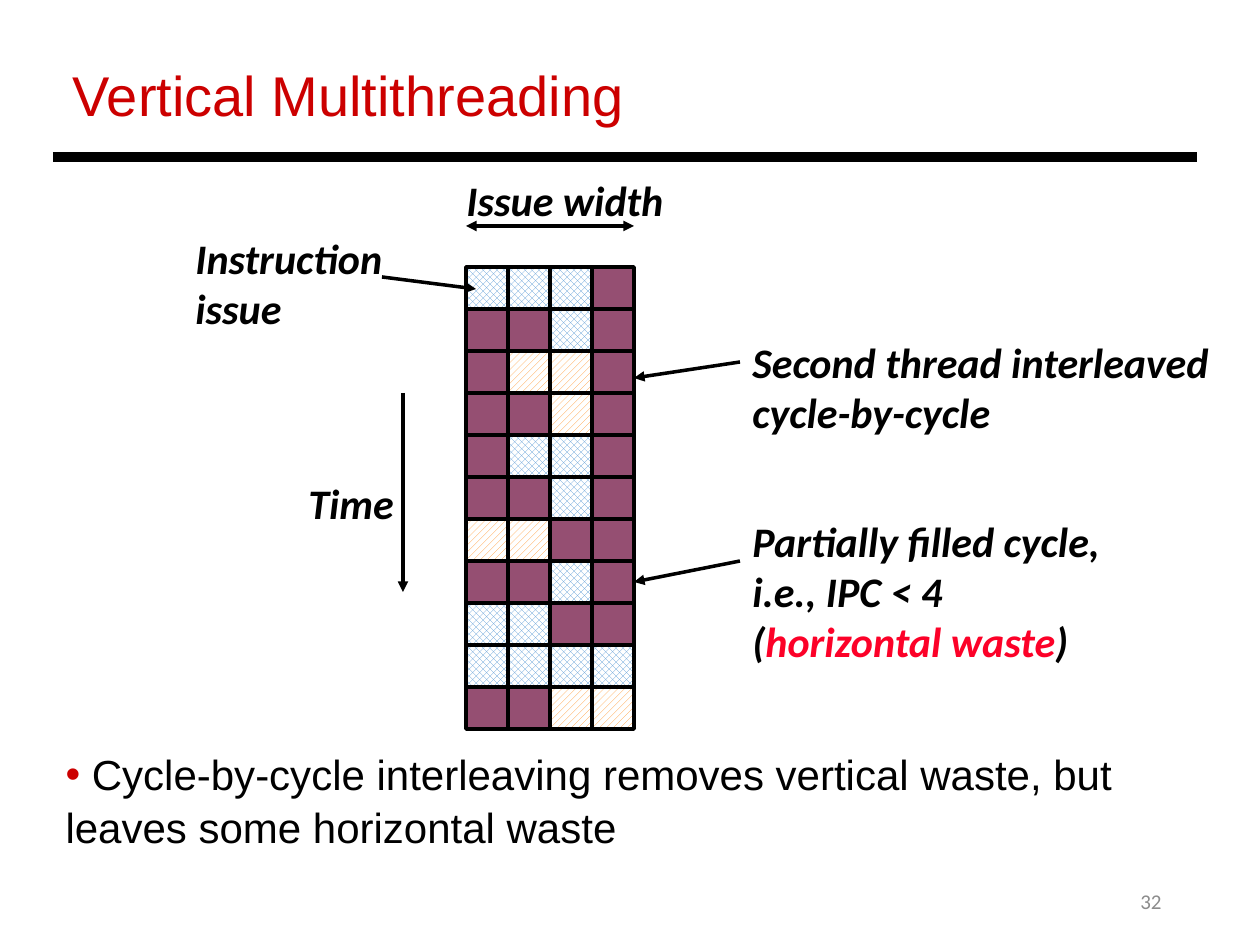
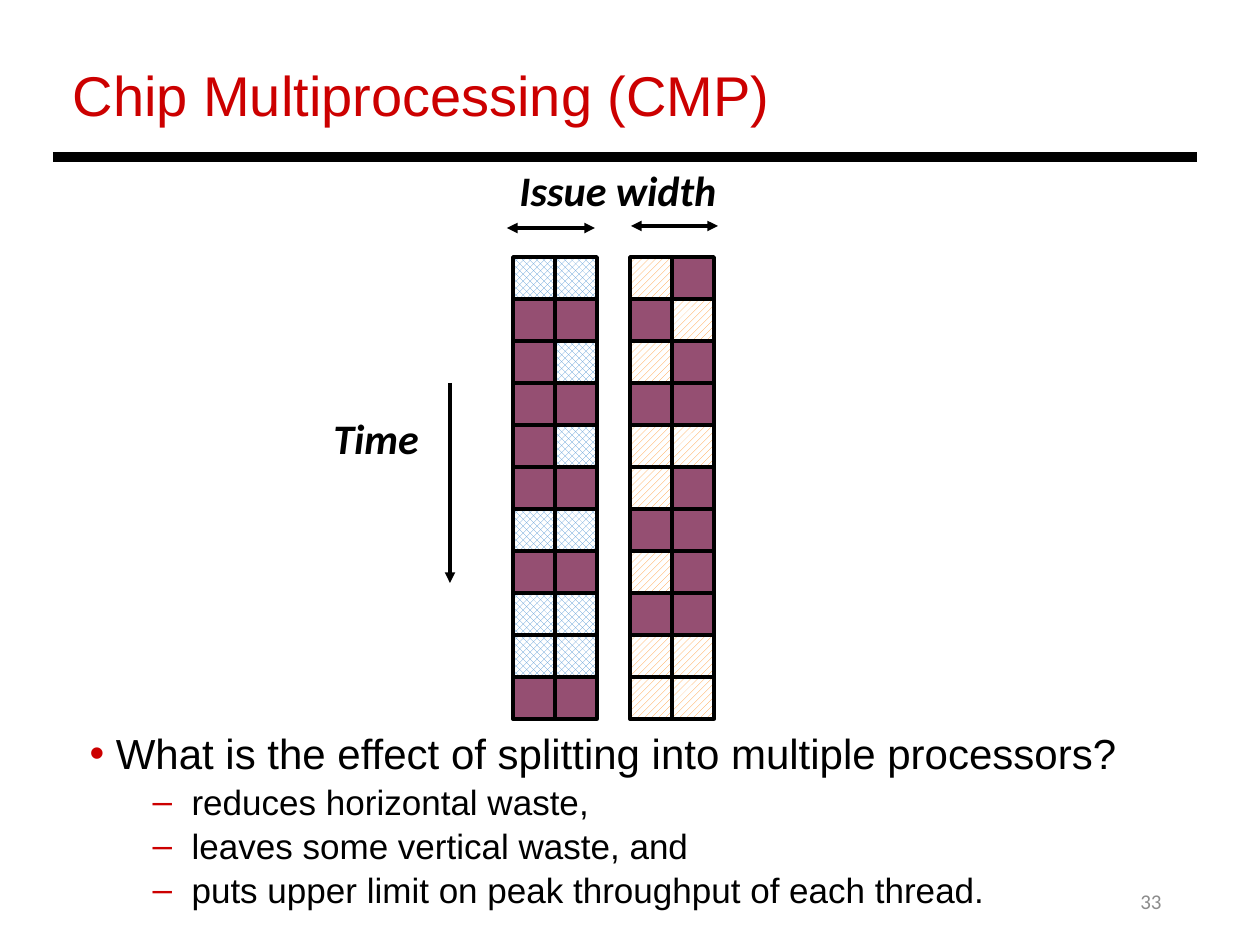
from dataclasses import dataclass

from lxml.etree import SubElement
from pptx import Presentation
from pptx.dml.color import RGBColor
from pptx.enum.dml import MSO_PATTERN
from pptx.enum.shapes import MSO_CONNECTOR, MSO_SHAPE
from pptx.enum.text import MSO_ANCHOR, MSO_AUTO_SIZE, PP_ALIGN
from pptx.oxml.ns import qn
from pptx.util import Emu, Pt


@dataclass(frozen=True)
class Theme:
    """Colours, fonts, type sizes and line widths shared by the slides."""
    black: str = "000000"
    white: str = "FFFFFF"
    accent: str = "CC0000"
    waste: str = "FC0128"
    grey: str = "8C8C8C"
    idle: str = "954F72"
    first_thread: str = "5B9BD5"
    second_thread: str = "FF9933"
    text_font: str = "Arial"
    label_font: str = "Calibri"
    title_size: int = 32
    body_size: int = 24
    sub_size: int = 20
    number_size: int = 12
    line_width: int = 2
    rule_width: int = 6


THEME = Theme()
EMU_PER_PX = 914400 / 126
CELL = 42
THREADS = {
    "A": (MSO_PATTERN.SOLID_DIAMOND, THEME.first_thread),
    "B": (MSO_PATTERN.WIDE_UPWARD_DIAGONAL, THEME.second_thread),
}
SHARED_CYCLES = "AAA- --A- -BB- --B- -AA- --A- BB-- --A- AA-- AAAA --BB"
FIRST_CORE_CYCLES = "AA -- -A -- -A -- AA -- AA AA --"
SECOND_CORE_CYCLES = "B- -B B- -- BB B- -- B- -- BB BB"


def px(*lengths):
    """Turn px lengths into EMU."""
    return [Emu(round(n * EMU_PER_PX)) for n in lengths]


def rgb(colour):
    """Turn a hex string into a colour."""
    return RGBColor.from_string(colour)


def add_run(p, text, size=THEME.body_size, font=THEME.text_font,
            colour=THEME.black, bold=False, italic=False):
    """Append formatted text to a paragraph."""
    r = p.add_run()
    r.text = text
    r.font.size = Pt(size)
    r.font.name = font
    r.font.color.rgb = rgb(colour)
    r.font.bold = bold
    r.font.italic = italic


def place(sp, box, anchor=MSO_ANCHOR.TOP):
    """Move a text shape to a px box and return its text frame."""
    sp.left, sp.top, sp.width, sp.height = px(*box)
    tf = sp.text_frame
    tf.word_wrap = True
    tf.auto_size = MSO_AUTO_SIZE.NONE
    tf.vertical_anchor = anchor
    return tf


def add_textbox(s, box, anchor=MSO_ANCHOR.TOP):
    """Add an empty text box and return its text frame."""
    return place(s.shapes.add_textbox(*px(*box)), box, anchor)


def add_line(s, start, end, width=THEME.line_width, head=False, tail=False):
    """Draw a straight line with optional arrowheads."""
    line = s.shapes.add_connector(MSO_CONNECTOR.STRAIGHT, *px(*start, *end))
    line.line.color.rgb = rgb(THEME.black)
    line.line.width = Pt(width)
    ln = line.line._get_or_add_ln()
    for wanted, tag in ((head, "a:headEnd"), (tail, "a:tailEnd")):
        if wanted:
            SubElement(ln, qn(tag), type="triangle")
    SubElement(line._element.spPr, qn("a:effectLst"))


def add_slide(prs, title, number):
    """Add a slide with its title, rule and number."""
    s = prs.slides.add_slide(prs.slide_layouts[1])
    p = place(s.shapes.title, (60, 54, 970, 81)).paragraphs[0]
    p.alignment = PP_ALIGN.LEFT
    add_run(p, title, size=THEME.title_size, colour=THEME.accent)
    add_line(s, (53, 157), (1197, 157), width=THEME.rule_width)
    p = add_textbox(s, (890, 876, 284, 50), MSO_ANCHOR.MIDDLE).paragraphs[0]
    p.alignment = PP_ALIGN.RIGHT
    add_run(p, str(number), size=THEME.number_size,
            font=THEME.label_font, colour=THEME.grey)
    return s


def set_bullet(p, char, margin, indent):
    """Give a paragraph a coloured bullet and px indents."""
    pPr = p._p.get_or_add_pPr()
    margin, indent = px(margin, indent)
    pPr.set("marL", str(margin))
    pPr.set("indent", str(indent))
    SubElement(SubElement(pPr, qn("a:buClr")), qn("a:srgbClr"), val=THEME.accent)
    SubElement(pPr, qn("a:buFont"), typeface=THEME.text_font)
    SubElement(pPr, qn("a:buChar"), char=char)


def fill_body(s, box, point, subpoints=()):
    """Write a main point and its subpoints in the body placeholder."""
    tf = place(s.placeholders[1], box)
    p = tf.paragraphs[0]
    set_bullet(p, "•", 0, 0)
    add_run(p, point)
    for subpoint in subpoints:
        p = tf.add_paragraph()
        p.level = 1
        set_bullet(p, "–", 102, -39)
        add_run(p, subpoint, size=THEME.sub_size)
    for p in tf.paragraphs:
        p.space_before = Pt(0)
        p.line_spacing = 1.05


def add_label(s, box, *paragraphs):
    """Add a bold italic label; each paragraph is a list of (text, colour)."""
    tf = add_textbox(s, box)
    for i, runs in enumerate(paragraphs):
        p = tf.add_paragraph() if i else tf.paragraphs[0]
        for text, colour in runs:
            add_run(p, text, font=THEME.label_font, colour=colour,
                    bold=True, italic=True)


def add_plain_label(s, box, text):
    """Add a black label of one paragraph."""
    add_label(s, box, [(text, THEME.black)])


def add_slot(s, x, y, thread):
    """Draw one issue slot, patterned by thread or solid when idle."""
    slot = s.shapes.add_shape(MSO_SHAPE.RECTANGLE, *px(x, y, CELL, CELL))
    slot.shadow.inherit = False
    slot.line.color.rgb = rgb(THEME.black)
    slot.line.width = Pt(THEME.line_width)
    if thread in THREADS:
        pattern, colour = THREADS[thread]
        slot.fill.patterned()
        slot.fill.pattern = pattern
        slot.fill.fore_color.rgb = rgb(colour)
        slot.fill.back_color.rgb = rgb(THEME.white)
    else:
        slot.fill.solid()
        slot.fill.fore_color.rgb = rgb(THEME.idle)


def add_issue_grid(s, left, top, cycles):
    """Draw a row of issue slots for each cycle."""
    for row, cycle in enumerate(cycles.split()):
        for col, thread in enumerate(cycle):
            add_slot(s, left + col * CELL, top + row * CELL, thread)


def vertical_multithreading(prs):
    """Build the vertical multithreading slide."""
    s = add_slide(prs, "Vertical Multithreading", 32)
    fill_body(s, (53, 740, 1169, 115),
              " Cycle-by-cycle interleaving removes vertical waste, "
              "but leaves some horizontal waste")
    add_issue_grid(s, 466, 267, SHARED_CYCLES)
    add_line(s, (466, 226), (634, 226), head=True, tail=True)
    add_plain_label(s, (454, 168, 234, 63), "Issue width")
    add_line(s, (403, 393), (403, 592), tail=True)
    add_plain_label(s, (296, 471, 122, 63), "Time")
    add_plain_label(s, (740, 330, 483, 115),
                    "Second thread interleaved cycle-by-cycle")
    add_plain_label(s, (183, 226, 265, 115), "Instruction issue")
    add_label(s, (740, 509, 441, 165),
              [("Partially filled cycle, i.e., IPC < 4", THEME.black)],
              [("(", THEME.black), ("horizontal waste", THEME.waste),
               (")", THEME.black)])
    for start, end in (((382, 277), (476, 289)),
                       ((740, 362), (634, 378)),
                       ((740, 561), (634, 582))):
        add_line(s, start, end, tail=True)


def chip_multiprocessing(prs):
    """Build the chip multiprocessing slide."""
    s = add_slide(prs, "Chip Multiprocessing (CMP)", 33)
    fill_body(s, (77, 719, 1169, 190),
              " What is the effect of splitting into multiple processors?",
              ("reduces horizontal waste,",
               "leaves some vertical waste, and",
               "puts upper limit on peak throughput of each thread."))
    add_issue_grid(s, 513, 257, FIRST_CORE_CYCLES)
    add_issue_grid(s, 630, 257, SECOND_CORE_CYCLES)
    add_line(s, (507, 228), (595, 228), head=True, tail=True)
    add_line(s, (631, 226), (718, 226), head=True, tail=True)
    add_plain_label(s, (507, 158, 246, 63), "Issue width")
    add_line(s, (450, 383), (450, 583), tail=True)
    add_plain_label(s, (321, 406, 122, 63), "Time")


def main():
    """Build and save the presentation."""
    prs = Presentation()
    prs.slide_width, prs.slide_height = px(1260, 945)
    vertical_multithreading(prs)
    chip_multiprocessing(prs)
    prs.save("out.pptx")


if __name__ == "__main__":
    main()
